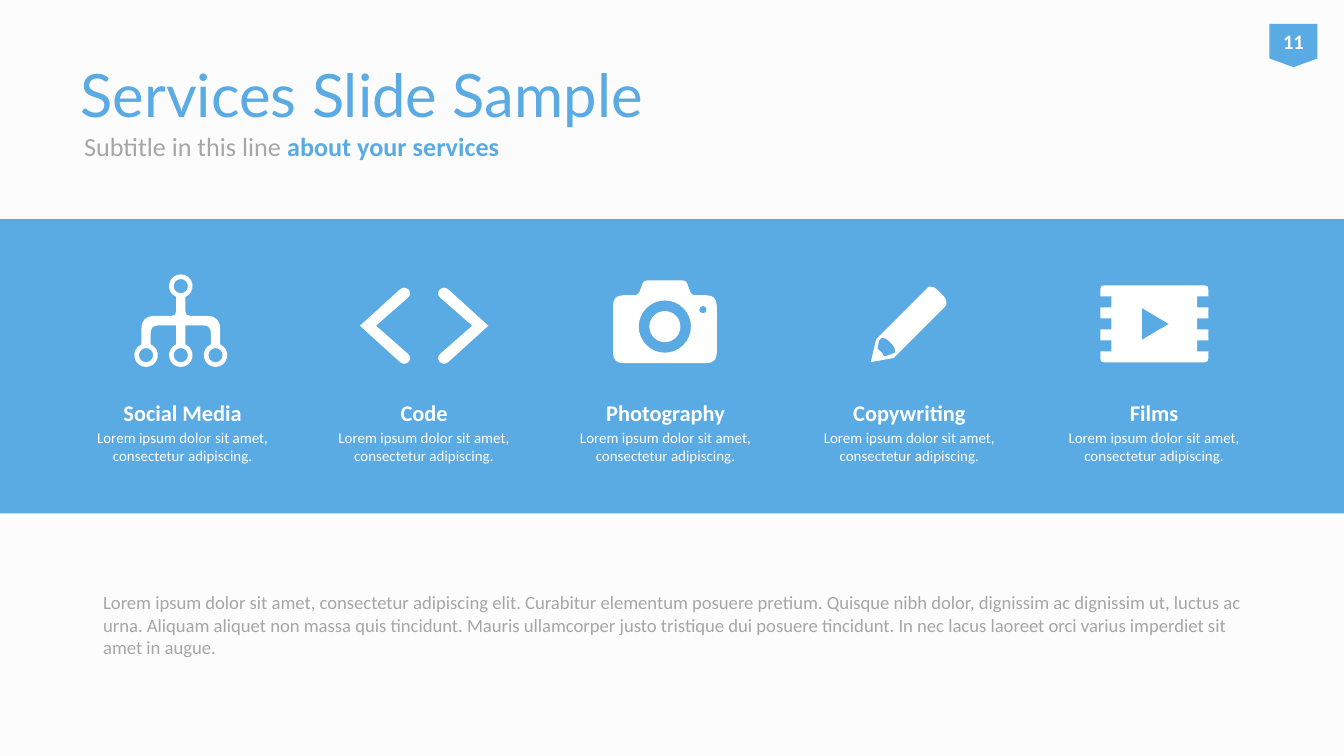
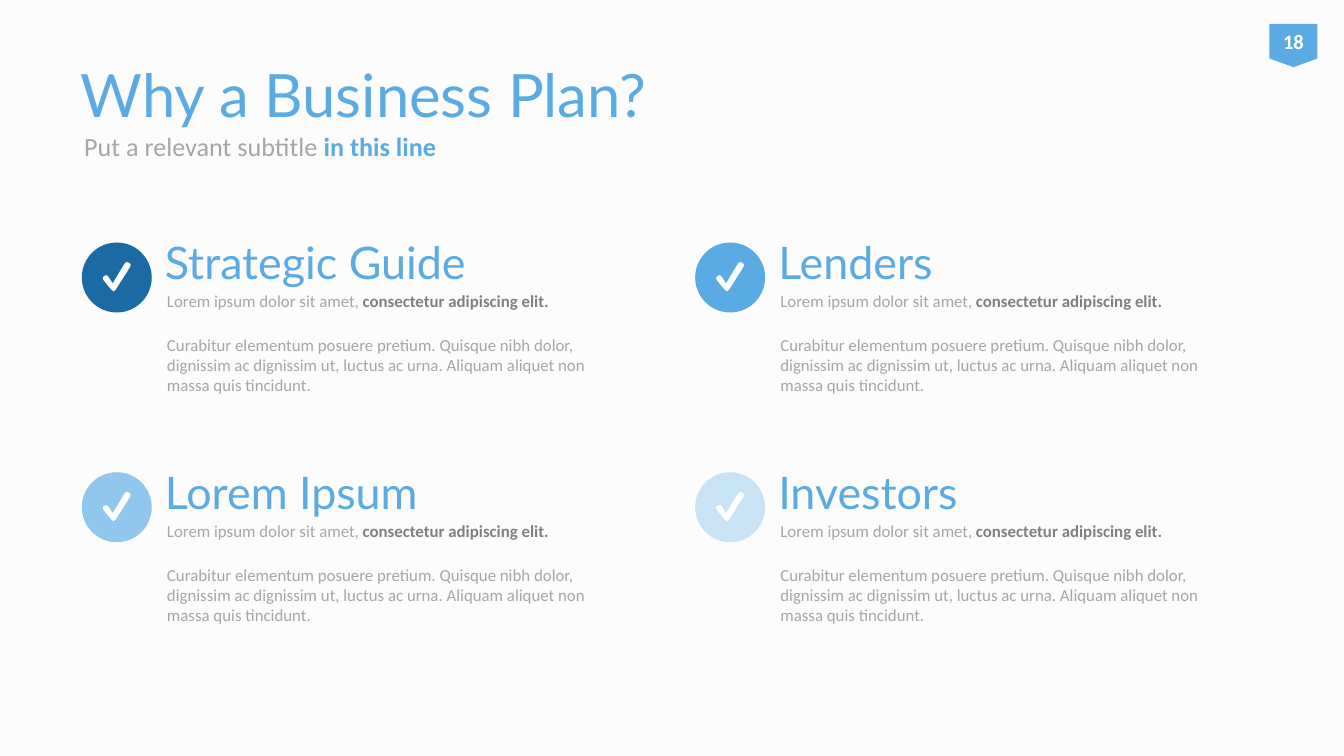
from math import cos, hypot, radians, sin, tan

from pptx import Presentation
from pptx.dml.color import RGBColor
from pptx.enum.shapes import MSO_SHAPE
from pptx.enum.text import MSO_ANCHOR, MSO_AUTO_SIZE, PP_ALIGN
from pptx.oxml.ns import qn
from pptx.util import Pt

RECTANGLE, OVAL = MSO_SHAPE.RECTANGLE, MSO_SHAPE.OVAL
PENNANT = MSO_SHAPE.FLOWCHART_OFFPAGE_CONNECTOR
TOP, MIDDLE = MSO_ANCHOR.TOP, MSO_ANCHOR.MIDDLE
LEFT, CENTER = PP_ALIGN.LEFT, PP_ALIGN.CENTER
NO_AUTOFIT = MSO_AUTO_SIZE.NONE

PAPER, WHITE, BLUE = "FCFCFC", "FFFFFF", "5AAAE4"
NAVY, SKY, PALE = "1B6AA3", "91C6ED", "C8E3F6"
GREY, DARK_GREY = "A6A6A6", "808080"

TITLE = {"name": "Lato", "size": 32, "color": BLUE, "bold": False}
HEADING = {**TITLE, "size": 24}
PLAIN = {"name": "Calibri", "size": 9, "color": GREY, "bold": False}
STRONG = {**PLAIN, "color": DARK_GREY, "bold": True}
SUBTITLE = {**PLAIN, "size": 14}
SUBTITLE_STRONG = {**SUBTITLE, "color": BLUE, "bold": True}
SUMMARY = {**PLAIN, "size": 10}
SERVICE = {**PLAIN, "size": 12, "color": WHITE, "bold": True}
SERVICE_NOTE = {**PLAIN, "size": 8, "color": WHITE}
BADGE = {**SERVICE, "size": 11}

SERVICE_TEXT = "Lorem ipsum dolor sit amet, consectetur adipiscing."
SUMMARY_TEXT = (
    "Lorem ipsum dolor sit amet, consectetur adipiscing elit. Curabitur elementum "
    "posuere pretium. Quisque nibh dolor, dignissim ac dignissim ut, luctus ac urna. "
    "Aliquam aliquet non massa quis tincidunt. Mauris ullamcorper justo tristique dui "
    "posuere tincidunt. In nec lacus laoreet orci varius imperdiet sit amet in augue."
)
REASON_LEAD, REASON_STRONG = "Lorem ipsum dolor sit amet, ", "consectetur adipiscing elit."
REASON_TEXT = (
    "Curabitur elementum posuere pretium. Quisque nibh dolor, dignissim ac dignissim "
    "ut, luctus ac urna. Aliquam aliquet non massa quis tincidunt."
)
REASONS = [("Strategic Guide", NAVY), ("Lenders", BLUE), ("Lorem Ipsum", SKY), ("Investors", PALE)]


def rgb(value):
    """Turn a hex string into a colour."""
    return RGBColor.from_string(value)


def points(*lengths):
    """Turn numbers of points into lengths."""
    return [Pt(length) for length in lengths]


def arc(x, y, radius, start=0, end=360):
    """List a start corner and four curves along a clockwise arc, in degrees."""
    step = radians(end - start) / 4
    pull = 4 / 3 * tan(step / 4)
    items = [(x + radius * cos(radians(start)), y + radius * sin(radians(start)), 0)]
    for index in range(4):
        a = radians(start) + index * step
        b = a + step
        items.append((
            x + radius * (cos(a) - pull * sin(a)), y + radius * (sin(a) + pull * cos(a)),
            x + radius * (cos(b) + pull * sin(b)), y + radius * (sin(b) - pull * cos(b)),
            x + radius * cos(b), y + radius * sin(b),
        ))
    return items


def toward(start, end, share):
    """Find the point a share of the way between two points."""
    return tuple(a + share * (b - a) for a, b in zip(start, end))


def trace(contour):
    """List the lines (one point) and curves (three points) of a contour."""
    spots = [item[:2] if len(item) == 3 else item[4:] for item in contour]
    segments = []
    for index, (item, spot) in enumerate(zip(contour, spots)):
        if len(item) == 6:
            segments.append([item[:2], item[2:4], spot])
        elif item[2] == 0:
            segments.append([spot])
        else:
            before, after = spots[index - 1], spots[(index + 1) % len(spots)]
            first, last = [
                toward(spot, near, item[2] / hypot(near[0] - spot[0], near[1] - spot[1]))
                for near in (before, after)
            ]
            curve = [toward(first, spot, 2 / 3), toward(last, spot, 2 / 3), last]
            segments += [[first], curve]
    return segments


def mirrored(corners, width):
    """Flip corners left to right within a width."""
    return [(width - x, y, radius) for x, y, radius in reversed(corners)]


def network_icon():
    """Outline a root node joined to three nodes below."""
    nodes = [(x, 43.3) for x in (6.3, 24.9, 43.5)]
    left, middle, right = [arc(x, y, 6.3, -67, 247) for x, y in nodes]
    outline = [
        *arc(24.9, 6.3, 6.3, 113, 427), (27.4, 22.3, 2.5), (46, 22.3, 7), *right,
        (41, 27.4, 4), (27.4, 27.4, 0), *middle, (22.4, 27.4, 0), (8.8, 27.4, 4),
        *left, (3.8, 22.3, 7), (22.4, 22.3, 2.5),
    ]
    return [outline] + [arc(x, y, 3.8) for x, y in [(24.9, 6.3), *nodes]]


def code_icon():
    """Outline a pair of angle brackets."""
    bracket = [(0, 21, 0), (23.8, -0.6, 3.5), (28.2, 3.8, 3.5),
               (8.6, 21, 0), (28.2, 38.2, 3.5), (23.8, 42.6, 3.5)]
    return [bracket, mirrored(bracket, 68.8)]


def camera_icon():
    """Outline a camera with a lens and a lamp."""
    half = [(0, 44.4, 5.6), (0, 8, 5.6), (13.6, 8, 2), (16.4, 0, 2)]
    lens = [arc(27.8, 24.8, radius) for radius in (14, 8.3)]
    return [half + mirrored(half, 55.6), *lens, arc(48.2, 15.7, 2)]


def pencil_icon():
    """Outline a pencil with a cut-out tip."""
    body = [(31, 0, 0), (34, 0, 2), (41, 7, 3), (40.4, 10, 0),
            (12.3, 38.2, 0), (0, 40.4, 0), (2.9, 28.1, 0)]
    tip = [(11.5, 36, 0), (7.2, 37.4, 0), (5.8, 35.2, 0), (3.6, 33.2, 0), (4.4, 28.8, 0),
           (5.8, 27.4, 0), (8, 27.4, 2), (13, 32.5, 2), (13, 35.3, 0)]
    return [body, tip]


def film_icon():
    """Outline a film frame with notched sides and a play mark."""
    notch = 5.9
    side = [(0, 7 * notch, 2)]
    for row in (5, 3, 1):
        low, high = (row + 1) * notch, row * notch
        side += [(0, low, 0), (notch, low, 0), (notch, high, 0), (0, high, 0)]
    side.append((0, 0, 2))
    play = [(22.3, 12.2, 0), (36.7, 20.7, 0), (22.3, 29.2, 0)]
    return [side + mirrored(side, 57.8), play]


def check_icon():
    """Outline a check mark."""
    return [[(-0.3, 8.3, 1.5), (2.4, 6.3, 1.5), (5.6, 11.2, 0),
             (12.8, -0.7, 1.5), (15.8, 1, 1.5), (6.2, 16.2, 1.8)]]


def paint(shape, color):
    """Give a shape a flat fill without line or shadow."""
    shape.shadow.inherit = False
    shape.fill.solid()
    shape.fill.fore_color.rgb = rgb(color)
    shape.line.fill.background()
    return shape


def bend(icon, segments):
    """Turn each run of three line points into one curve."""
    lines = iter(list(icon.element.iter(qn("a:lnTo"))))
    for segment in segments:
        curve, *others = [next(lines) for _ in segment]
        if others:
            curve.tag = qn("a:cubicBezTo")
        for other in others:
            curve.append(other[0])
            other.getparent().remove(other)


def draw_icon(page, contours, center_x, center_y):
    """Draw contours as one white freeform centred on a point."""
    builder, drawn = None, []
    for contour in contours:
        (start,), *segments = trace(contour)
        if builder is None:
            builder = page.shapes.build_freeform(*points(*start))
        else:
            builder.move_to(*points(*start))
        builder.add_line_segments([points(*spot) for part in segments for spot in part])
        drawn += segments
    icon = paint(builder.convert_to_shape(), WHITE)
    bend(icon, drawn)
    icon.left = Pt(center_x) - icon.width // 2
    icon.top = Pt(center_y) - icon.height // 2


def draw_shape(page, kind, place, color):
    """Draw a preset shape at (left, top, width, height)."""
    return paint(page.shapes.add_shape(kind, *points(*place)), color)


def write(box, paragraphs, anchor=TOP, align=LEFT, gap=0):
    """Fill a box with paragraphs made of (text, style) spans."""
    frame = box.text_frame
    settings = {"word_wrap": True, "auto_size": NO_AUTOFIT, "vertical_anchor": anchor}
    for key, value in settings.items():
        setattr(frame, key, value)
    for index, spans in enumerate(paragraphs):
        para = frame.add_paragraph() if index else frame.paragraphs[0]
        para.alignment = align
        if index:
            para.space_before = Pt(gap)
        for text, style in spans:
            span = para.add_run()
            span.text = text
            values = {**style, "size": Pt(style["size"])}
            span.font.color.rgb = rgb(values.pop("color"))
            for key, value in values.items():
                setattr(span.font, key, value)


def add_text(page, place, paragraphs, **layout):
    """Add a text box at (left, top, width, height)."""
    write(page.shapes.add_textbox(*points(*place)), paragraphs, **layout)


def add_page(deck, number, title, subtitle, subtitle_strong):
    """Add a page with its title, subtitle and number badge."""
    page = deck.slides.add_slide(deck.slide_layouts[5])
    box = page.shapes.title
    box.left, box.top, box.width, box.height = points(36, 29, 648, 42)
    write(box, [[(title, TITLE)]], anchor=MIDDLE)
    add_text(page, (38, 64, 648, 29),
             [[(subtitle, SUBTITLE), (subtitle_strong, SUBTITLE_STRONG)]], anchor=MIDDLE)
    badge = draw_shape(page, PENNANT, (680.1, 12.8, 25.7, 23.2), BLUE)
    for side in ("left", "top", "right", "bottom"):
        setattr(badge.text_frame, f"margin_{side}", 0)
    write(badge, [[(str(number), BADGE)]], anchor=MIDDLE, align=CENTER)
    return page


def add_service(page, name, center, contours, icon_center):
    """Add one service column with its icon and caption."""
    width = 109
    draw_icon(page, contours, *icon_center)
    add_text(page, (center - width / 2, 210.3, width, 43),
             [[(name, SERVICE)], [(SERVICE_TEXT, SERVICE_NOTE)]], align=CENTER, gap=1.6)


def add_reason(page, index, name, color):
    """Add one reason of the two-by-two grid."""
    row, column = divmod(index, 2)
    left, top, size = 43.8 + 328.6 * column, 129.9 + 123.1 * row, 37.5
    draw_shape(page, OVAL, (left, top, size, size), color)
    draw_icon(page, check_icon(), left + size / 2, top + size / 2 - 0.4)
    add_text(page, (left + 37.5, top - 10.5, 227, 42), [[(name, HEADING)]], anchor=MIDDLE)
    add_text(page, (left + 38.6, top + 22.3, 238, 63),
             [[(REASON_LEAD, PLAIN), (REASON_STRONG, STRONG)], [(REASON_TEXT, PLAIN)]], gap=12.6)


def main():
    """Build and save the deck."""
    deck = Presentation()
    deck.slide_width, deck.slide_height = points(720, 405)
    backdrop = deck.slide_master.background.fill
    backdrop.solid()
    backdrop.fore_color.rgb = rgb(PAPER)

    page = add_page(deck, 11, "Services Slide Sample",
                    "Subtitle in this line ", "about your services")
    draw_shape(page, RECTANGLE, (0, 117.4, 720, 157.7), BLUE)
    services = [
        ("Social Media", 97.9, network_icon(), (96.9, 171.8)),
        ("Code", 227.2, code_icon(), (227.2, 174.5)),
        ("Photography", 356.6, camera_icon(), (356.2, 172.4)),
        ("Copywriting", 487.2, pencil_icon(), (486.9, 173.8)),
        ("Films", 618.3, film_icon(), (618.4, 173.5)),
    ]
    for service in services:
        add_service(page, *service)
    add_text(page, (48.2, 313.2, 629, 48), [[(SUMMARY_TEXT, SUMMARY)]])

    page = add_page(deck, 18, "Why a Business Plan?", "Put a relevant subtitle ", "in this line")
    for index, (name, color) in enumerate(REASONS):
        add_reason(page, index, name, color)
    deck.save("out.pptx")


if __name__ == "__main__":
    main()
